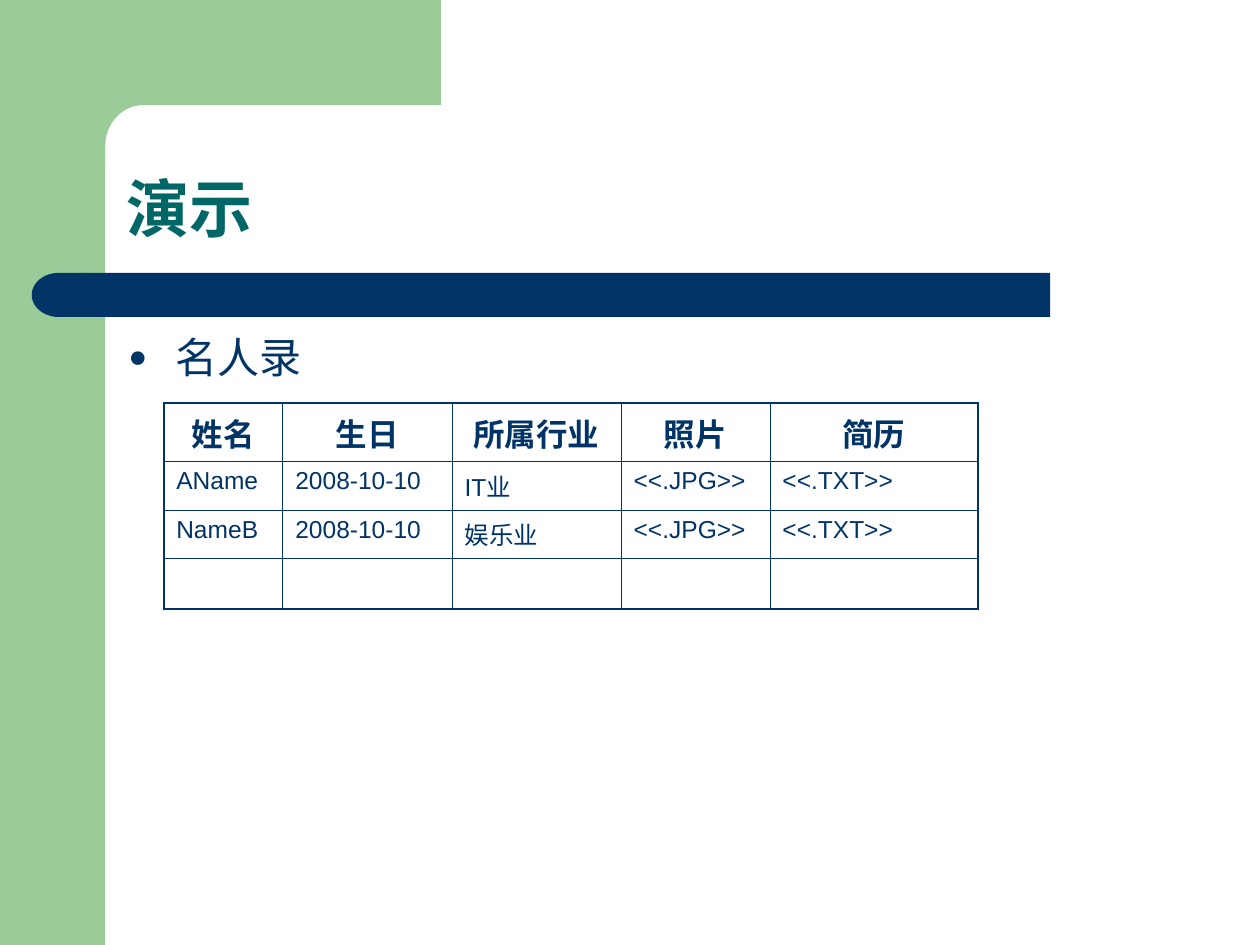
import math
from lxml import etree
from pptx import Presentation
from pptx.dml.color import RGBColor
from pptx.enum.shapes import MSO_SHAPE
from pptx.enum.text import MSO_ANCHOR, PP_ALIGN
from pptx.oxml.ns import qn
from pptx.util import Cm, Pt

RECT, DELAY = MSO_SHAPE.RECTANGLE, MSO_SHAPE.FLOWCHART_DELAY
TOP, BOTTOM = MSO_ANCHOR.TOP, MSO_ANCHOR.BOTTOM
LEFT, CENTER = PP_ALIGN.LEFT, PP_ALIGN.CENTER

NAVY, GREEN, TEAL = "003366", "99CC99", "006666"
FONT = "Arial"
TITLE, POINT = "演示", "名人录"
ROWS = [
    ("姓名", "生日", "所属行业", "照片", "简历"),
    ("AName", "2008-10-10", "IT业", "<<.JPG>>", "<<.TXT>>"),
    ("NameB", "2008-10-10", "娱乐业", "<<.JPG>>", "<<.TXT>>"),
    ("", "", "", "", ""),
]
WIDTHS = (2.4, 3.41, 3.41, 3, 4.19)
HEIGHTS = (1.17, 0.98, 0.98, 0.98)
THICK, THIN = 1.08, 0.45
SIDE, EDGE = 2.12, 8.89
BAR_TOP, BAR_HIGH = 5.5, 0.89


def color(code):
    return RGBColor.from_string(code)


def paint(shape, code):
    shape.shadow.inherit = False
    shape.fill.solid()
    shape.fill.fore_color.rgb = color(code)
    shape.line.fill.background()


def block(kind, box, code):
    shape = slide.shapes.add_shape(kind, *map(Cm, box))
    paint(shape, code)
    return shape


def corner(code):
    wide, high, foot = 0.76, 0.84, 3.25
    turns = [math.radians(90 * step / 16) for step in range(17)]
    curve = [(SIDE + wide * (1 - math.sin(turn)), SIDE + high * (1 - math.cos(turn)))
             for turn in turns]
    points = [(EDGE, 0), (EDGE, SIDE), *curve, (SIDE, foot), (1.27, foot)]
    path = slide.shapes.build_freeform(Cm(1.27), 0)
    path.add_line_segments([(Cm(x), Cm(y)) for x, y in points], close=True)
    paint(path.convert_to_shape(), code)


def write(frame, text, size=14, code=NAVY, bold=False, align=LEFT, space=None):
    para = frame.paragraphs[0]
    para.alignment = align
    para.line_spacing = space
    run = para.add_run()
    run.text = text
    run.font.name = FONT
    run.font.size = Pt(size)
    run.font.bold = bold
    run.font.color.rgb = color(code)
    return para


def textbox(box, anchor):
    frame = slide.shapes.add_textbox(*map(Cm, box)).text_frame
    frame.word_wrap = True
    frame.vertical_anchor = anchor
    return frame


def bullet(para, mark, code, scale, indent):
    props = para._p.get_or_add_pPr()
    props.set("marL", str(Cm(indent)))
    props.set("indent", str(-Cm(indent)))
    tint = etree.SubElement(props, qn("a:buClr"))
    etree.SubElement(tint, qn("a:srgbClr"), val=code)
    etree.SubElement(props, qn("a:buSzPct"), val=str(scale * 1000))
    etree.SubElement(props, qn("a:buFont"), typeface=FONT)
    etree.SubElement(props, qn("a:buChar"), char=mark)


def border(cell, outer):
    props = cell._tc.get_or_add_tcPr()
    for side in "LRTB":
        width = THICK if side in outer else THIN
        line = etree.SubElement(props, qn(f"a:ln{side}"), w=str(Pt(width)))
        fill = etree.SubElement(line, qn("a:solidFill"))
        etree.SubElement(fill, qn("a:srgbClr"), val=NAVY)


def roster(left, top):
    size = (sum(WIDTHS), sum(HEIGHTS))
    table = slide.shapes.add_table(
        len(ROWS), len(WIDTHS), *map(Cm, (left, top, *size))).table
    table.first_row = table.horz_banding = False
    for col, width in zip(table.columns, WIDTHS):
        col.width = Cm(width)
    for i, (row, high) in enumerate(zip(ROWS, HEIGHTS)):
        table.rows[i].height = Cm(high)
        style = {"size": 18, "bold": True, "align": CENTER} if i == 0 else {}
        for j, text in enumerate(row):
            cell = table.cell(i, j)
            ends = {"L": j == 0, "R": j == len(row) - 1,
                    "T": i == 0, "B": i == len(ROWS) - 1}
            border(cell, [side for side, end in ends.items() if end])
            cell.fill.background()
            write(cell.text_frame, text, **style)


deck = Presentation()
deck.slide_width, deck.slide_height = Cm(25.4), Cm(19.05)
slide = deck.slides.add_slide(deck.slide_layouts[6])

block(RECT, (0, 0, SIDE, 19.05), GREEN)
corner(GREEN)
block(RECT, (1.7, BAR_TOP, 19.47, BAR_HIGH), NAVY)
block(DELAY, (0.64, BAR_TOP, 1.09, BAR_HIGH), NAVY).rotation = 180

write(textbox((2.31, 2.31, 21.62, 2.77), BOTTOM), TITLE,
      size=36, code=TEAL, bold=True, space=0.9)
item = write(textbox((2.34, 6.55, 10.46, 10.34), TOP), POINT, size=24)
bullet(item, "●", NAVY, 75, 0.95)
roster(3.3, 8.13)

deck.save("out.pptx")
